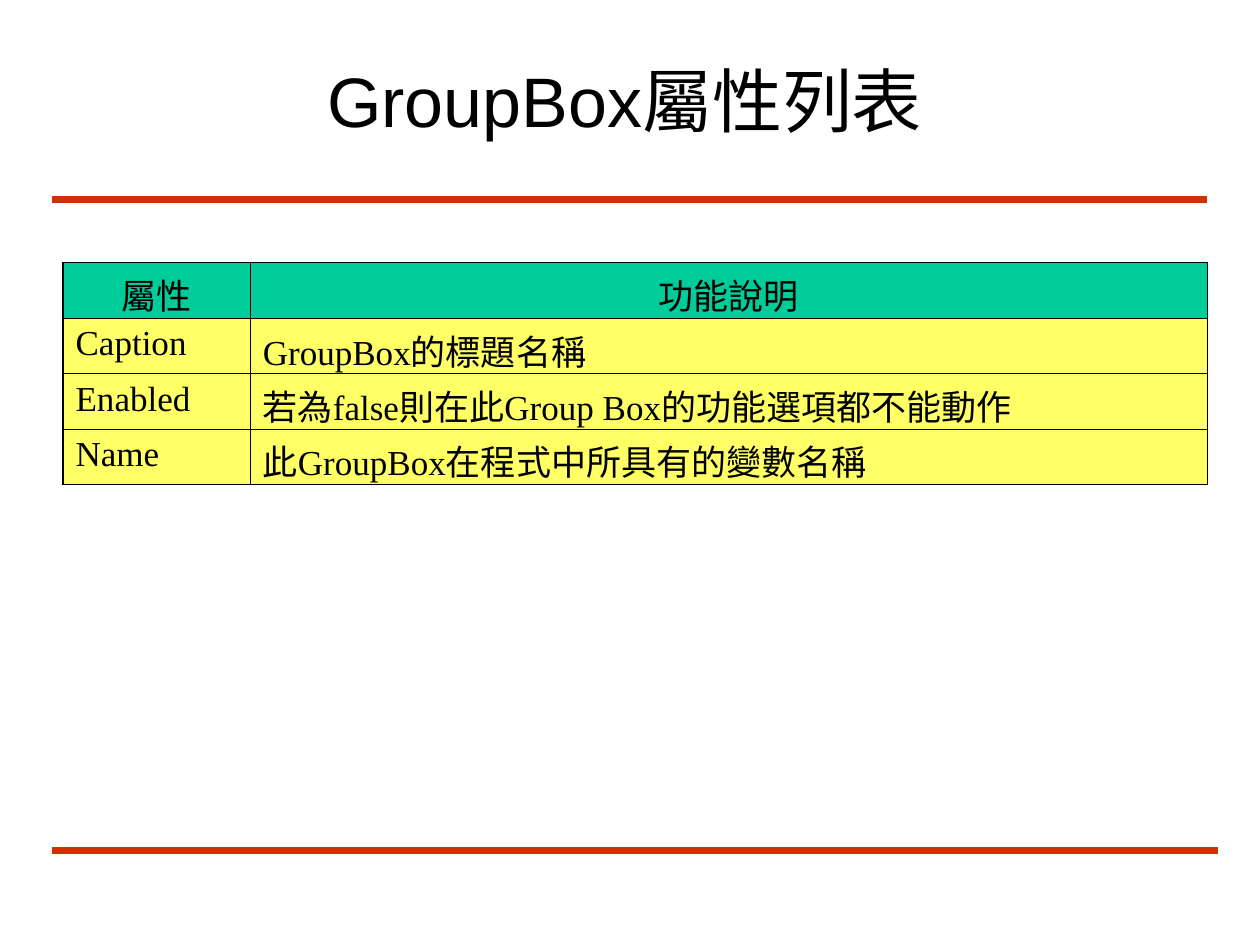
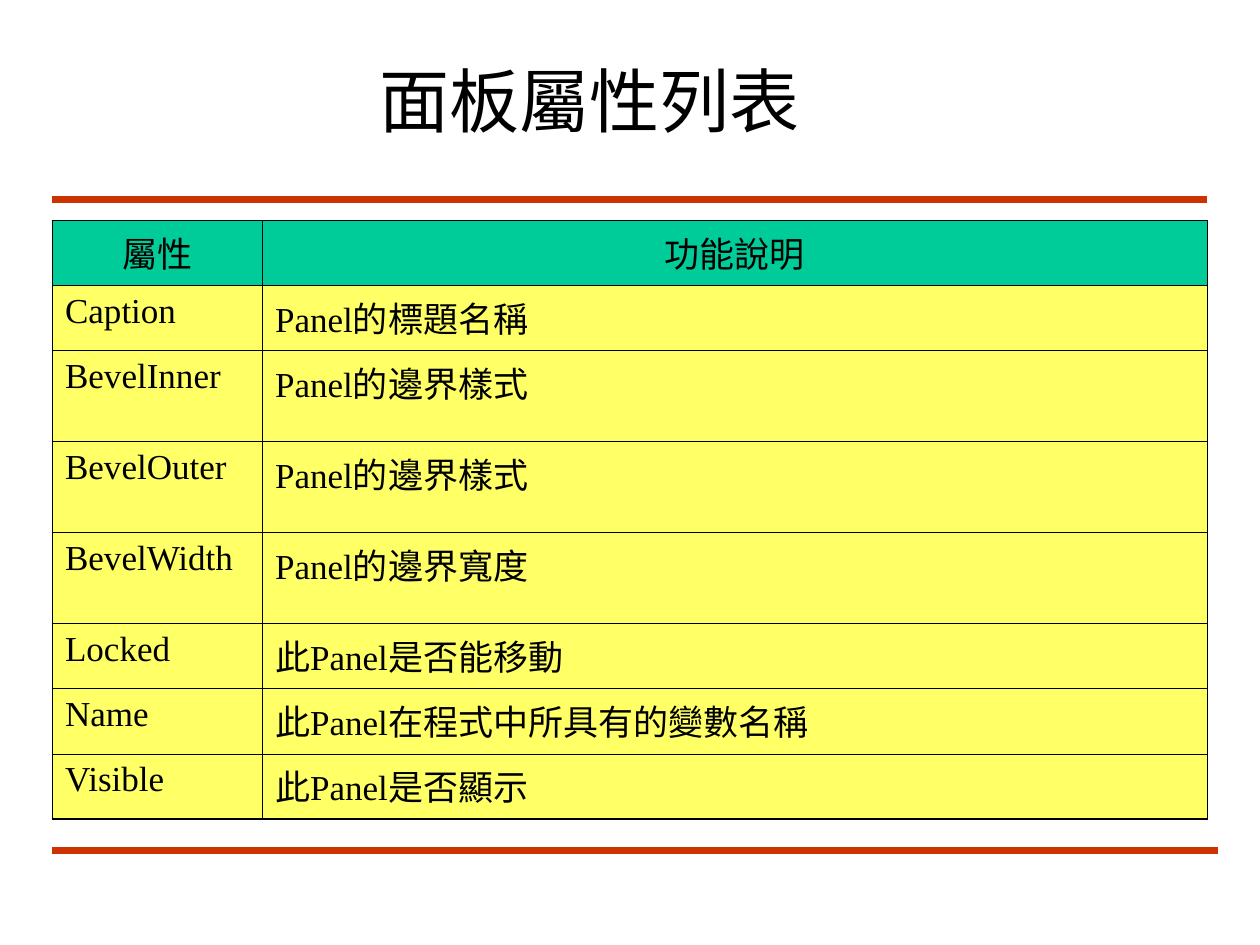
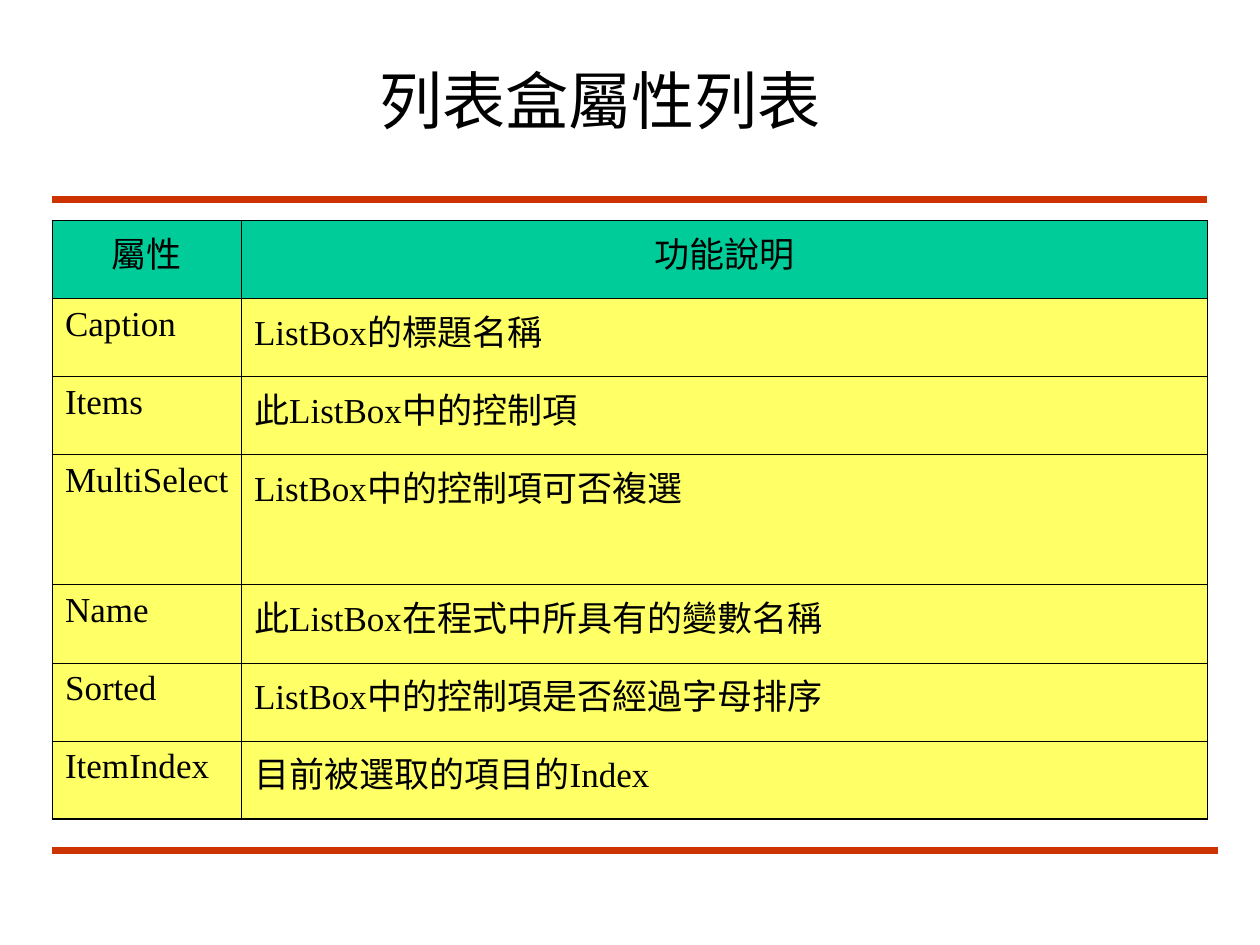
from dataclasses import dataclass
from itertools import groupby

from lxml.etree import SubElement
from pptx import Presentation
from pptx.dml.color import RGBColor
from pptx.enum.shapes import MSO_CONNECTOR
from pptx.enum.text import MSO_ANCHOR, PP_ALIGN
from pptx.oxml.ns import qn
from pptx.util import Pt


@dataclass(frozen=True)
class Theme:
    ink: str = "000000"
    rule: str = "CC3300"
    header_fill: str = "00CC99"
    body_fill: str = "FFFF66"
    title_font: str = "Arial"
    latin_font: str = "Times New Roman"
    cjk_font: str = "Noto Sans CJK SC"
    title_size: float = 40
    long_title_size: float = 36
    table_size: float = 20
    rule_width: float = 4.5
    outer_border: float = 0.96
    inner_border: float = 0.34


THEME = Theme()
HEADER = ("屬性", "功能說明")
RULES = ((30, 690, 114), (30, 696, 486))  # left, right, height on the slide

# Each table box is left, top; its size follows from columns and rows
PAGES = [
    dict(
        title="GroupBox屬性列表", title_box=(180, 24, 402, 66),
        origin=(36, 150), columns=(107, 547), row_height=31.7,
        properties=[
            ("Caption", "GroupBox的標題名稱"),
            ("Enabled", "若為false則在此Group Box的功能選項都不能動作"),
            ("Name", "此GroupBox在程式中所具有的變數名稱"),
        ],
    ),
    dict(
        title="面板屬性列表", title_box=(210, 24, 258, 66),
        origin=(30, 126), columns=(120, 540), row_height=37.2,
        tall_rows={"BevelInner": 52, "BevelOuter": 52, "BevelWidth": 52},
        properties=[
            ("Caption", "Panel的標題名稱"),
            ("BevelInner", "Panel的邊界樣式"),
            ("BevelOuter", "Panel的邊界樣式"),
            ("BevelWidth", "Panel的邊界寬度"),
            ("Locked", "此Panel是否能移動"),
            ("Name", "此Panel在程式中所具有的變數名稱"),
            ("Visible", "此Panel是否顯示"),
        ],
    ),
    dict(
        title="列表盒屬性列表", title_box=(210, 24, 294, 66),
        title_size=THEME.long_title_size,
        origin=(30, 126), columns=(108, 552), row_height=44.6,
        tall_rows={"MultiSelect": 74.4},
        properties=[
            ("Caption", "ListBox的標題名稱"),
            ("Items", "此ListBox中的控制項"),
            ("MultiSelect", "ListBox中的控制項可否複選"),
            ("Name", "此ListBox在程式中所具有的變數名稱"),
            ("Sorted", "ListBox中的控制項是否經過字母排序"),
            ("ItemIndex", "目前被選取的項目的Index"),
        ],
    ),
]


def write(frame, text, *, size, font=None, align=PP_ALIGN.LEFT):
    """Write one paragraph; without a font, each script gets its own run."""
    paragraph = frame.paragraphs[0]
    paragraph.alignment = align
    if font:
        pieces = [(text, font)]
    else:
        pieces = [("".join(chars), THEME.latin_font if latin else THEME.cjk_font)
                  for latin, chars in groupby(text, str.isascii)]
    for piece, typeface in pieces:
        run = paragraph.add_run()
        run.text = piece
        run.font.size = Pt(size)
        run.font.color.rgb = RGBColor.from_string(THEME.ink)
        run.font.name = typeface
        SubElement(run.font._element, qn("a:ea"), typeface=THEME.cjk_font)


def add_rules(slide):
    for left, right, y in RULES:
        rule = slide.shapes.add_connector(
            MSO_CONNECTOR.STRAIGHT, Pt(left), Pt(y), Pt(right), Pt(y))
        rule.line.color.rgb = RGBColor.from_string(THEME.rule)
        rule.line.width = Pt(THEME.rule_width)
        SubElement(rule._element.spPr, qn("a:effectLst"))


def add_title(slide, box, title, size):
    frame = slide.shapes.add_textbox(*map(Pt, box)).text_frame
    frame.word_wrap = True
    frame.vertical_anchor = MSO_ANCHOR.MIDDLE
    write(frame, title, size=size, font=THEME.title_font)


def set_borders(cell, outer_sides):
    properties = cell._tc.get_or_add_tcPr()
    for side in "LRTB":
        width = THEME.outer_border if side in outer_sides else THEME.inner_border
        line = SubElement(properties, qn(f"a:ln{side}"), w=str(int(Pt(width))))
        fill = SubElement(line, qn("a:solidFill"))
        SubElement(fill, qn("a:srgbClr"), val=THEME.ink)


def add_property_table(slide, origin, columns, properties, row_height, tall_rows):
    rows = [HEADER, *properties]
    heights = [tall_rows.get(name, row_height) for name, _ in rows]
    box = (*origin, sum(columns), sum(heights))
    table = slide.shapes.add_table(len(rows), len(columns), *map(Pt, box)).table
    table.first_row = table.horz_banding = False
    for column, width in zip(table.columns, columns):
        column.width = Pt(width)

    for r, (entries, height) in enumerate(zip(rows, heights)):
        table.rows[r].height = Pt(height)
        is_header = r == 0
        vertical = "T" if is_header else "B" if r == len(rows) - 1 else ""
        for c, entry in enumerate(entries):
            cell = table.cell(r, c)
            # Borders come before the fill in the cell properties
            set_borders(cell, "LR"[c] + vertical)
            cell.fill.solid()
            cell.fill.fore_color.rgb = RGBColor.from_string(
                THEME.header_fill if is_header else THEME.body_fill)
            write(cell.text_frame, entry, size=THEME.table_size,
                  align=PP_ALIGN.CENTER if is_header else PP_ALIGN.LEFT)


def add_property_page(deck, *, title, title_box, origin, columns, properties,
                      row_height, tall_rows=None, title_size=THEME.title_size):
    slide = deck.slides.add_slide(deck.slide_layouts[6])
    add_rules(slide)
    add_title(slide, title_box, title, title_size)
    add_property_table(slide, origin, columns, properties, row_height, tall_rows or {})


def main():
    deck = Presentation()
    deck.slide_width, deck.slide_height = Pt(720), Pt(540)
    for page in PAGES:
        add_property_page(deck, **page)
    deck.save("out.pptx")


if __name__ == "__main__":
    main()
